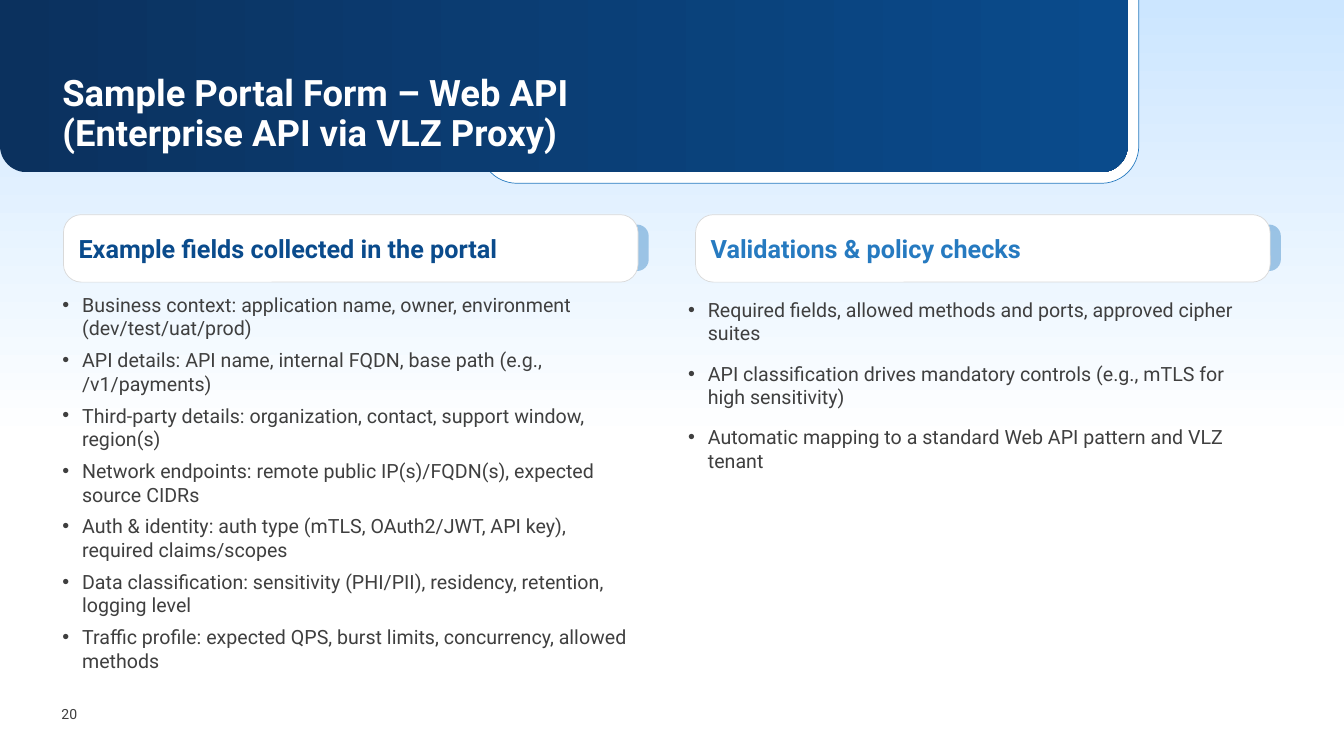
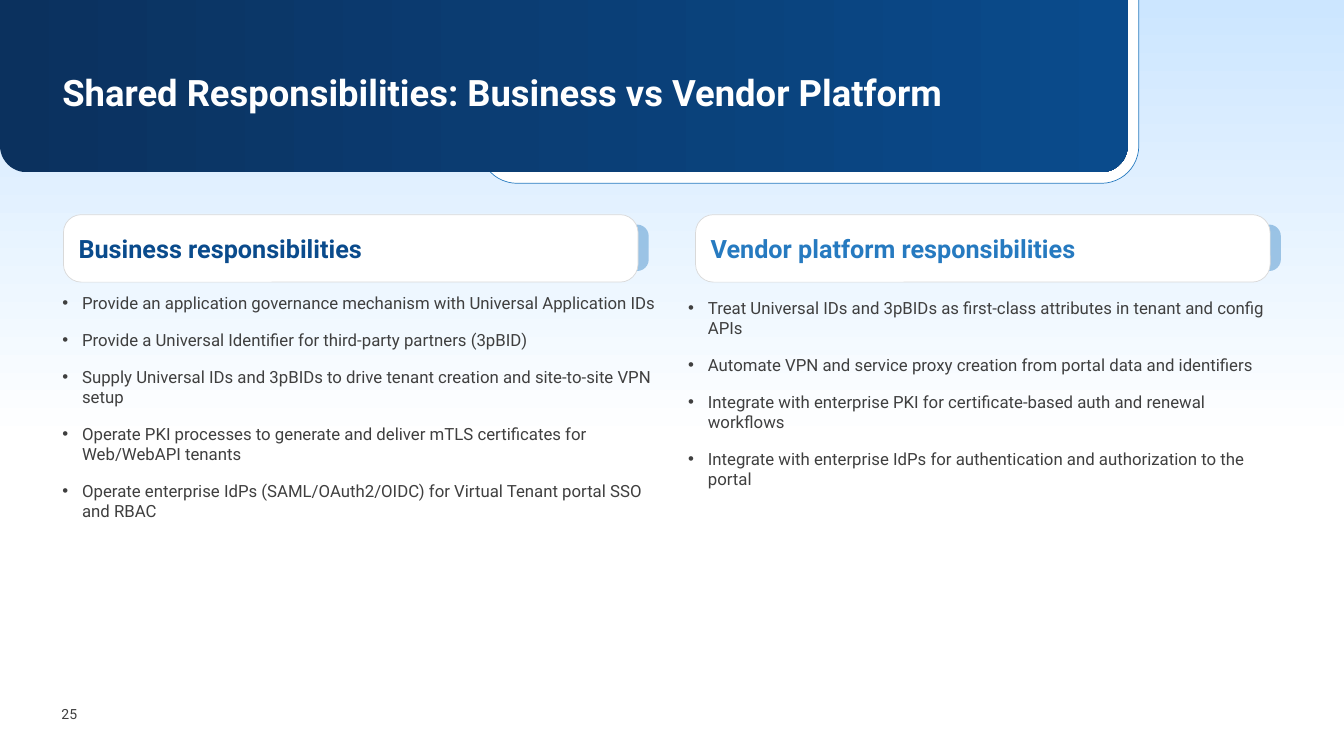
"""Build two comparison slides with a shared banner and two bulleted columns."""
from dataclasses import dataclass

from lxml.etree import SubElement
from pptx import Presentation
from pptx.dml.color import RGBColor
from pptx.enum.shapes import MSO_SHAPE
from pptx.enum.text import MSO_ANCHOR, MSO_AUTO_SIZE, PP_ALIGN
from pptx.oxml.ns import qn
from pptx.util import Cm, Pt


@dataclass(frozen=True)
class Theme:
    """Colours, font and type sizes of the deck."""
    font: str = "Roboto"
    white: str = "FFFFFF"
    text: str = "3F3F3F"
    sky: str = "CCE6FF"
    navy: str = "0B315E"
    blue: str = "0A4B8C"
    accent: str = "267AC0"
    border: str = "D9D9D9"
    title_size: int = 26
    heading_size: int = 18
    number_size: int = 10


@dataclass(frozen=True)
class Column:
    """Heading and bullets of one column."""
    heading: str
    bullets: tuple
    width: float
    space_after: int = 6


@dataclass(frozen=True)
class Place:
    """Position and colour of one column."""
    card_left: float
    body_left: float
    insets: tuple
    color: str


@dataclass(frozen=True)
class Page:
    """Content of one slide."""
    number: int
    title: tuple
    size: int
    columns: tuple


THEME = Theme()
SLIDE_WIDTH, SLIDE_HEIGHT = 33.87, 19.05
PLACES = (
    Place(1.6, 1.57, (0, 0), THEME.blue),
    Place(17.53, 17.09, (0.25, 0.13), THEME.accent),
)

PAGES = (
    Page(20, ("Sample Portal Form – Web API", "(Enterprise API via VLZ Proxy)"), 14, (
        Column("Example fields collected in the portal", (
            "Business context: application name, owner, environment (dev/test/uat/prod)",
            "API details: API name, internal FQDN, base path (e.g., /v1/payments)",
            "Third-party details: organization, contact, support window, region(s)",
            "Network endpoints: remote public IP(s)/FQDN(s), expected source CIDRs",
            "Auth & identity: auth type (mTLS, OAuth2/JWT, API key), required claims/scopes",
            "Data classification: sensitivity (PHI/PII), residency, retention, logging level",
            "Traffic profile: expected QPS, burst limits, concurrency, allowed methods",
        ), 14.48, 0),
        Column("Validations & policy checks", (
            "Required fields, allowed methods and ports, approved cipher suites",
            "API classification drives mandatory controls (e.g., mTLS for high sensitivity)",
            "Automatic mapping to a standard Web API pattern and VLZ tenant",
        ), 14.88),
    )),
    Page(25, ("Shared Responsibilities: Business vs Vendor Platform",), 12, (
        Column("Business responsibilities", (
            "Provide an application governance mechanism with Universal Application IDs",
            "Provide a Universal Identifier for third-party partners (3pBID)",
            "Supply Universal IDs and 3pBIDs to drive tenant creation and site-to-site VPN setup",
            "Operate PKI processes to generate and deliver mTLS certificates for Web/WebAPI tenants",
            "Operate enterprise IdPs (SAML/OAuth2/OIDC) for Virtual Tenant portal SSO and RBAC",
        ), 15.19),
        Column("Vendor platform responsibilities", (
            "Treat Universal IDs and 3pBIDs as first-class attributes in tenant and config APIs",
            "Automate VPN and service proxy creation from portal data and identifiers",
            "Integrate with enterprise PKI for certificate-based auth and renewal workflows",
            "Integrate with enterprise IdPs for authentication and authorization to the portal",
        ), 15.19),
    )),
)


def rgb(color):
    """Return a colour object for a hexadecimal value."""
    return RGBColor.from_string(color)


def add_run(paragraph, text, size, color, bold=False):
    """Add one formatted run to a paragraph."""
    run = paragraph.add_run()
    run.text = text
    run.font.name = THEME.font
    run.font.size = Pt(size)
    run.font.bold = bold
    run.font.color.rgb = rgb(color)


def set_frame(shape, anchor=MSO_ANCHOR.TOP, side=0, edge=0):
    """Set wrapping, anchor and insets, and return the text frame."""
    frame = shape.text_frame
    frame.word_wrap = True
    frame.auto_size = MSO_AUTO_SIZE.NONE
    frame.vertical_anchor = anchor
    frame.margin_left = frame.margin_right = Cm(side)
    frame.margin_top = frame.margin_bottom = Cm(edge)
    return frame


def add_panel(shapes, kind, box, adjustments=(), fill=None, line=None):
    """Add a flat preset shape with optional solid fill and outline."""
    shape = shapes.add_shape(kind, *map(Cm, box))
    shape.shadow.inherit = False
    for index, value in enumerate(adjustments):
        shape.adjustments[index] = value
    if fill:
        shape.fill.solid()
        shape.fill.fore_color.rgb = rgb(fill)
    if line:
        shape.line.color.rgb = rgb(line)
        shape.line.width = Pt(0.5)
    else:
        shape.line.fill.background()
    return shape


def set_gradient(shape, start, end, angle):
    """Fill a shape with a two-colour linear gradient."""
    shape.fill.gradient()
    shape.fill.gradient_angle = angle
    for stop, color in zip(shape.fill.gradient_stops, (start, end)):
        stop.color.rgb = rgb(color)


def set_opacity(shape, percent):
    """Make the solid fill of a shape partly transparent."""
    color = shape.element.spPr.find(qn("a:solidFill")).find(qn("a:srgbClr"))
    SubElement(color, qn("a:alpha"), val=str(percent * 1000))


def add_backdrop(slide):
    """Add the sky gradient and the banner."""
    shapes = slide.shapes
    sky = add_panel(shapes, MSO_SHAPE.RECTANGLE, (0, 0, SLIDE_WIDTH, 11.18))
    set_gradient(sky, THEME.sky, THEME.white, 270)
    rounded = MSO_SHAPE.ROUND_2_SAME_RECTANGLE
    add_panel(shapes, rounded, (12.09, -0.1, 16.61, 4.72), (0, 0.2),
              THEME.white, THEME.accent)
    banner = add_panel(shapes, rounded, (0, 0, 28.42, 4.34), (0, 0.155))
    set_gradient(banner, THEME.navy, THEME.blue, 0)


def set_title(slide, lines):
    """Format the title placeholder and bring it in front of the banner."""
    title = slide.shapes.title
    title.left, title.top, title.width, title.height = map(Cm, (1.57, 1.9, 26.8, 1.98))
    title.element.getparent().append(title.element)
    paragraph = set_frame(title).paragraphs[0]
    paragraph.alignment = PP_ALIGN.LEFT
    paragraph.line_spacing = 0.9
    for index, line in enumerate(lines):
        if index:
            paragraph.add_line_break()
        add_run(paragraph, line, THEME.title_size, THEME.white, bold=True)


def add_page_number(slide, number):
    """Add the page number at the lower left."""
    box = slide.shapes.add_textbox(*map(Cm, (1.55, 17.68, 1, 0.64)))
    paragraph = set_frame(box, MSO_ANCHOR.MIDDLE).paragraphs[0]
    add_run(paragraph, str(number), THEME.number_size, THEME.text)


def add_heading_card(slide, text, left, color):
    """Add a heading card with a tab showing behind its right edge."""
    shapes = slide.shapes.add_group_shape().shapes
    rounded = MSO_SHAPE.ROUNDED_RECTANGLE
    tab = add_panel(shapes, rounded, (left + 12.13, 5.66, 2.62, 1.17), (0.25,), THEME.accent)
    set_opacity(tab, 40)
    card = add_panel(shapes, rounded, (left, 5.41, 14.48, 1.7), (0.265,),
                     THEME.white, THEME.border)
    paragraph = set_frame(card, MSO_ANCHOR.MIDDLE, side=0.25).paragraphs[0]
    paragraph.alignment = PP_ALIGN.LEFT
    add_run(paragraph, text, THEME.heading_size, color, bold=True)


def set_bullet(paragraph):
    """Give a paragraph a hanging round bullet."""
    properties = paragraph._p.get_or_add_pPr()
    properties.set("marL", str(Cm(0.5)))
    properties.set("indent", str(Cm(-0.5)))
    SubElement(properties, qn("a:buFont"), typeface="Arial")
    SubElement(properties, qn("a:buChar"), char="•")


def add_bullets(slide, column, place, size):
    """Add the bulleted text of a column."""
    box = slide.shapes.add_textbox(*map(Cm, (place.body_left, 7.37, column.width, 8.61)))
    side, edge = place.insets
    frame = set_frame(box, side=side, edge=edge)
    for index, text in enumerate(column.bullets):
        paragraph = frame.add_paragraph() if index else frame.paragraphs[0]
        set_bullet(paragraph)
        paragraph.space_before = Pt(6 if index else 0)
        paragraph.space_after = Pt(column.space_after)
        add_run(paragraph, text, size, THEME.text)


def add_page(presentation, page):
    """Add one complete slide."""
    slide = presentation.slides.add_slide(presentation.slide_layouts.get_by_name("Title Only"))
    add_backdrop(slide)
    set_title(slide, page.title)
    for column, place in zip(page.columns, PLACES):
        add_heading_card(slide, column.heading, place.card_left, place.color)
        add_bullets(slide, column, place, page.size)
    add_page_number(slide, page.number)


def main():
    """Build and save the presentation."""
    presentation = Presentation()
    presentation.slide_width = Cm(SLIDE_WIDTH)
    presentation.slide_height = Cm(SLIDE_HEIGHT)
    for page in PAGES:
        add_page(presentation, page)
    presentation.save("out.pptx")


if __name__ == "__main__":
    main()
